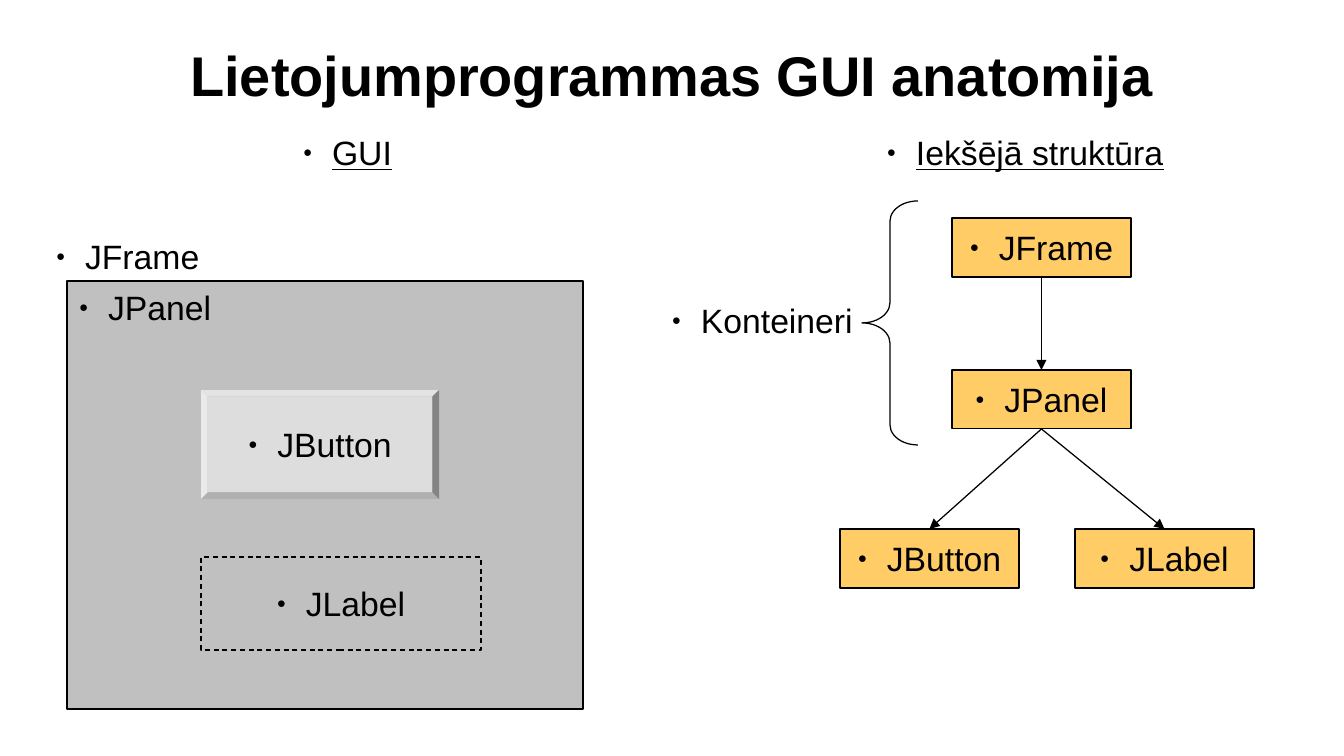
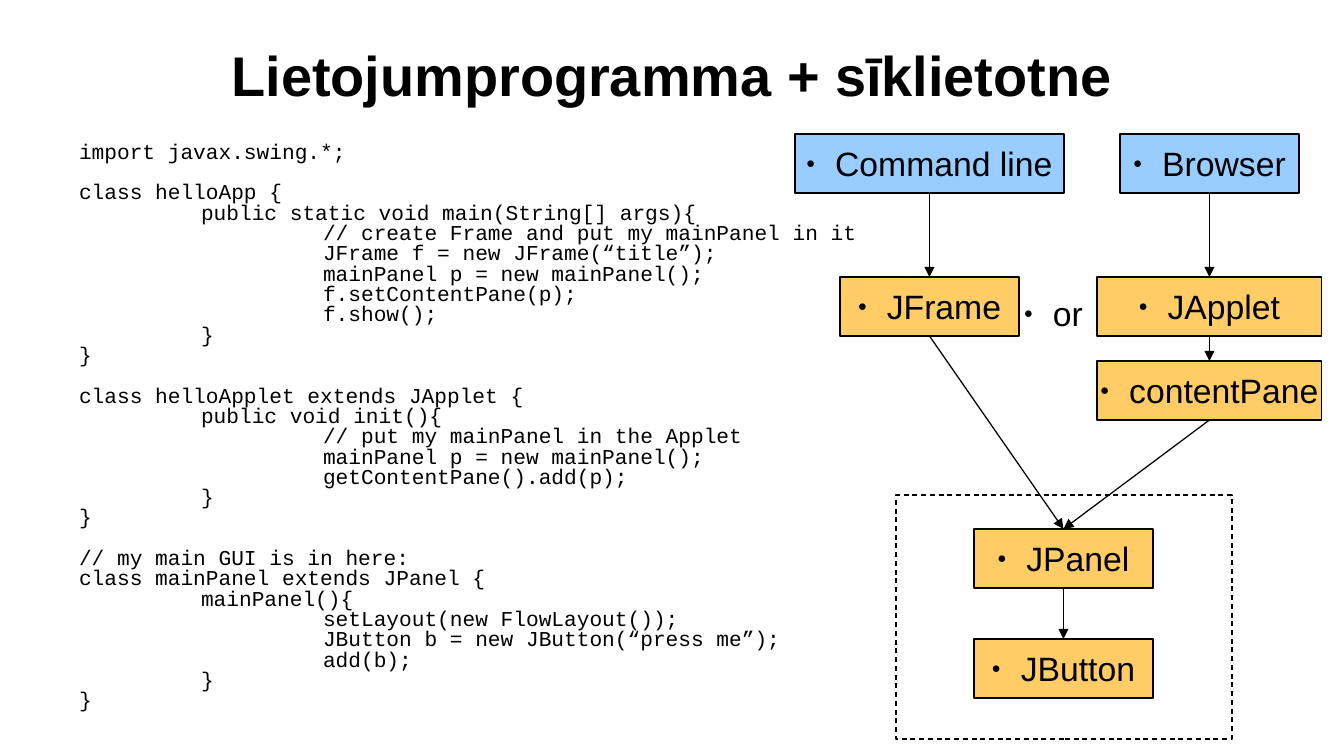
"""Build two slides on the anatomy of a Swing interface."""
from typing import Any, NamedTuple

from lxml import etree
from pptx import Presentation
from pptx import util as u
from pptx.dml.color import RGBColor
from pptx.enum import dml, shapes, text
from pptx.oxml import ns

PX_PER_INCH = 122
BLACK, GRAY, SILVER, ORANGE, BLUE = "000000", "C0C0C0", "DDDDDD", "FFCC66", "99CCFF"
RECTANGLE = shapes.MSO_SHAPE.RECTANGLE
BEVEL = shapes.MSO_SHAPE.BEVEL
BOX_WIDTH, BOX_HEIGHT = 179, 59
TITLE_AREA = (67, 30, 1210, 89)
CODE_AREA = (67, 137, 1183, 586)
CODE_INDENT = 4
TITLE_FONT = {"name": "Arial", "size": u.Pt(33), "bold": True}
LABEL_FONT = {"name": "Arial", "size": u.Pt(19.9), "bold": False}
CODE_FONT = {"name": "Courier New", "size": u.Pt(12.5), "bold": False}
CODE = """import javax.swing.*;

class helloApp {
    public static void main(String[] args){
        // create Frame and put my mainPanel in it
        JFrame f = new JFrame(“title”);
        mainPanel p = new mainPanel();
        f.setContentPane(p);
        f.show();
    }
}

class helloApplet extends JApplet {
    public void init(){
        // put my mainPanel in the Applet
        mainPanel p = new mainPanel();
        getContentPane().add(p);
    }
}

// my main GUI is in here:
class mainPanel extends JPanel {
    mainPanel(){
        setLayout(new FlowLayout());
        JButton b = new JButton(“press me”);
        add(b);
    }
}"""


class Node(NamedTuple):
    """A box of the diagram, in px."""

    caption: str
    left: int
    top: int
    width: int = BOX_WIDTH
    height: int = BOX_HEIGHT
    fill: str | None = ORANGE
    line: str | None = BLACK
    dashed: bool = False
    kind: Any = RECTANGLE
    at_top_left: bool = False


class Label(NamedTuple):
    """A free bulleted caption, in px."""

    caption: str
    left: int
    top: int
    width: int
    underline: bool = False


MOCKUP = [
    Node("JPanel", 67, 281, 516, 428, GRAY, at_top_left=True),
    Node("JButton", 201, 390, 238, 109, SILVER, line=None, kind=BEVEL),
    Node("JLabel", 201, 557, 280, 93, GRAY, dashed=True),
]
STRUCTURE = [
    Node("JFrame", 952, 218),
    Node("JPanel", 952, 370),
    Node("JButton", 840, 529),
    Node("JLabel", 1075, 529),
]
STRUCTURE_LINKS = [("JFrame", "JPanel"), ("JPanel", "JButton"), ("JPanel", "JLabel")]
ANATOMY_LABELS = [
    Label("JFrame", 44, 230, 172),
    Label("GUI", 291, 126, 118, True),
    Label("Iekšējā struktūra", 875, 126, 308, True),
    Label("Konteineri", 660, 294, 210),
]
LAUNCH = [
    Node("Command line", 795, 134, 269, fill=BLUE),
    Node("Browser", 1120, 134, fill=BLUE),
    Node("JFrame", 840, 277),
    Node("JApplet", 1097, 277, 225),
    Node("contentPane", 1097, 361, 225),
    Node("JPanel", 974, 529),
    Node("JButton", 974, 639),
]
LAUNCH_LINKS = [
    ("Command line", "JFrame"),
    ("Browser", "JApplet"),
    ("JApplet", "contentPane"),
    ("JFrame", "JPanel"),
    ("contentPane", "JPanel"),
    ("JPanel", "JButton"),
]
SHARED_PANEL = Node("", 896, 495, 336, 244, fill=None, dashed=True)


def px(length: int) -> u.Emu:
    """Turn px into EMU."""
    return u.Emu(round(length * u.Inches(1) / PX_PER_INCH))


def rgb(value: str) -> RGBColor:
    """Turn a hex string into a colour."""
    return RGBColor.from_string(value)


def assign(target: Any, values: dict[str, Any]) -> None:
    """Set every attribute given in a dict."""
    for name, value in values.items():
        setattr(target, name, value)


def child(parent: Any, tag: str, **attributes: str) -> Any:
    """Append a DrawingML element."""
    return etree.SubElement(parent, ns.qn(tag), attributes)


def place(shape: Any, area: tuple[int, int, int, int]) -> None:
    """Move and size a shape."""
    assign(shape, dict(zip(("left", "top", "width", "height"), map(px, area))))


def set_frame(frame: Any, **values: Any) -> None:
    """Give a text frame the shared insets and its own settings."""
    insets = {"margin_left": px(12), "margin_right": px(12), "margin_top": px(6), "margin_bottom": px(6)}
    assign(frame, insets | values)


def write(paragraph: Any, words: str, font: dict[str, Any]) -> None:
    """Add one formatted run."""
    run = paragraph.add_run()
    run.text = words
    assign(run.font, font)
    run.font.color.rgb = rgb(BLACK)


def write_bullet(frame: Any, caption: str, align: Any, underline: bool = False) -> None:
    """Write a caption behind a small round bullet."""
    paragraph = frame.paragraphs[0]
    properties = paragraph._p.get_or_add_pPr()
    properties.set("marL", str(px(29)))
    properties.set("indent", str(px(-29)))
    child(child(properties, "a:buClr"), "a:srgbClr", val=BLACK)
    child(properties, "a:buSzPct", val="45000")
    child(properties, "a:buFont", typeface="Arial")
    child(properties, "a:buChar", char="●")
    paragraph.alignment = align
    write(paragraph, caption, LABEL_FONT | {"underline": underline})


def set_line(line: Any, color: str | None, dashed: bool = False) -> None:
    """Draw a thin outline, or none."""
    if color is None:
        line.fill.background()
        return
    line.color.rgb = rgb(color)
    line.width = u.Pt(0.75)
    if dashed:
        line.dash_style = dml.MSO_LINE.DASH


def add_node(slide: Any, node: Node) -> Any:
    """Draw a box with its caption."""
    area = map(px, (node.left, node.top, node.width, node.height))
    shape = slide.shapes.add_shape(node.kind, *area)
    shape.shadow.inherit = False
    if node.kind == BEVEL:
        shape.adjustments[0] = 0.06
    if node.fill is None:
        shape.fill.background()
    else:
        shape.fill.solid()
        shape.fill.fore_color.rgb = rgb(node.fill)
    set_line(shape.line, node.line, node.dashed)
    if node.caption:
        anchor = text.MSO_ANCHOR.TOP if node.at_top_left else text.MSO_ANCHOR.MIDDLE
        align = text.PP_ALIGN.LEFT if node.at_top_left else text.PP_ALIGN.CENTER
        set_frame(shape.text_frame, word_wrap=node.at_top_left, vertical_anchor=anchor)
        write_bullet(shape.text_frame, node.caption, align)
    return shape


def add_label(slide: Any, label: Label) -> None:
    """Draw a free caption."""
    box = slide.shapes.add_textbox(*map(px, (label.left, label.top, label.width, 52)))
    set_frame(box.text_frame, word_wrap=True, auto_size=text.MSO_AUTO_SIZE.SHAPE_TO_FIT_TEXT)
    write_bullet(box.text_frame, label.caption, text.PP_ALIGN.LEFT, label.underline)


def add_arrow(slide: Any, source: Any, target: Any) -> None:
    """Join the bottom of one box to the top of another."""
    arrow = slide.shapes.add_connector(shapes.MSO_CONNECTOR.STRAIGHT, 0, 0, 0, 0)
    arrow.begin_connect(source, 2)
    arrow.end_connect(target, 0)
    set_line(arrow.line, BLACK)
    child(arrow.line._get_or_add_ln(), "a:tailEnd", type="triangle")
    child(arrow._element.spPr, "a:effectLst")


def add_diagram(slide: Any, nodes: list[Node], links: list[tuple[str, str]]) -> None:
    """Draw boxes and the arrows between them."""
    drawn = {node.caption: add_node(slide, node) for node in nodes}
    for source, target in links:
        add_arrow(slide, drawn[source], drawn[target])


def add_slide(presentation: Any, layout: str, title: str) -> Any:
    """Start a slide with the shared title style."""
    slide = presentation.slides.add_slide(presentation.slide_layouts.get_by_name(layout))
    shape = slide.shapes.title
    place(shape, TITLE_AREA)
    set_frame(shape.text_frame, vertical_anchor=text.MSO_ANCHOR.MIDDLE, auto_size=text.MSO_AUTO_SIZE.NONE)
    paragraph = shape.text_frame.paragraphs[0]
    paragraph.alignment = text.PP_ALIGN.CENTER
    write(paragraph, title, TITLE_FONT)
    return slide


def add_code(slide: Any) -> None:
    """Fill the body placeholder with the code listing."""
    body = slide.placeholders[1]
    place(body, CODE_AREA)
    frame = body.text_frame
    set_frame(frame, word_wrap=True, vertical_anchor=text.MSO_ANCHOR.TOP, auto_size=text.MSO_AUTO_SIZE.NONE)
    gap = 0
    for number, line in enumerate(CODE.split("\n")):
        if not line:
            gap = 12
            continue
        paragraph = frame.add_paragraph() if number else frame.paragraphs[0]
        properties = paragraph._p.get_or_add_pPr()
        for name, length in {"marL": 0, "indent": 0, "defTabSz": u.Inches(1)}.items():
            properties.set(name, str(int(length)))
        child(properties, "a:buNone")
        spacing = {"line_spacing": 0.8, "space_before": u.Pt(gap), "space_after": u.Pt(0)}
        assign(paragraph, spacing | {"alignment": text.PP_ALIGN.LEFT})
        words = line.lstrip()
        depth = (len(line) - len(words)) // CODE_INDENT
        write(paragraph, "\t" * depth + words, CODE_FONT)
        gap = 0


def add_brace(slide: Any) -> None:
    """Draw the brace that gathers the containers."""
    brace = slide.shapes.add_shape(shapes.MSO_SHAPE.LEFT_BRACE, *map(px, (862, 201, 56, 244)))
    brace.shadow.inherit = False
    brace.adjustments[0] = 0.36
    brace.fill.background()
    set_line(brace.line, BLACK)


def build_anatomy(presentation: Any) -> None:
    """Build the slide on the visible and the inner structure."""
    slide = add_slide(presentation, "Title Only", "Lietojumprogrammas GUI anatomija")
    add_diagram(slide, MOCKUP, [])
    add_diagram(slide, STRUCTURE, STRUCTURE_LINKS)
    add_brace(slide)
    for label in ANATOMY_LABELS:
        add_label(slide, label)


def build_launch(presentation: Any) -> None:
    """Build the slide on the application and the applet."""
    slide = add_slide(presentation, "Title and Content", "Lietojumprogramma + sīklietotne")
    add_code(slide)
    add_diagram(slide, LAUNCH, LAUNCH_LINKS)
    add_label(slide, Label("or", 1012, 287, 88))
    add_node(slide, SHARED_PANEL)


def main() -> None:
    """Build and save the presentation."""
    presentation = Presentation()
    assign(presentation, {"slide_width": px(1344), "slide_height": px(756)})
    build_anatomy(presentation)
    build_launch(presentation)
    presentation.save("out.pptx")


if __name__ == "__main__":
    main()
